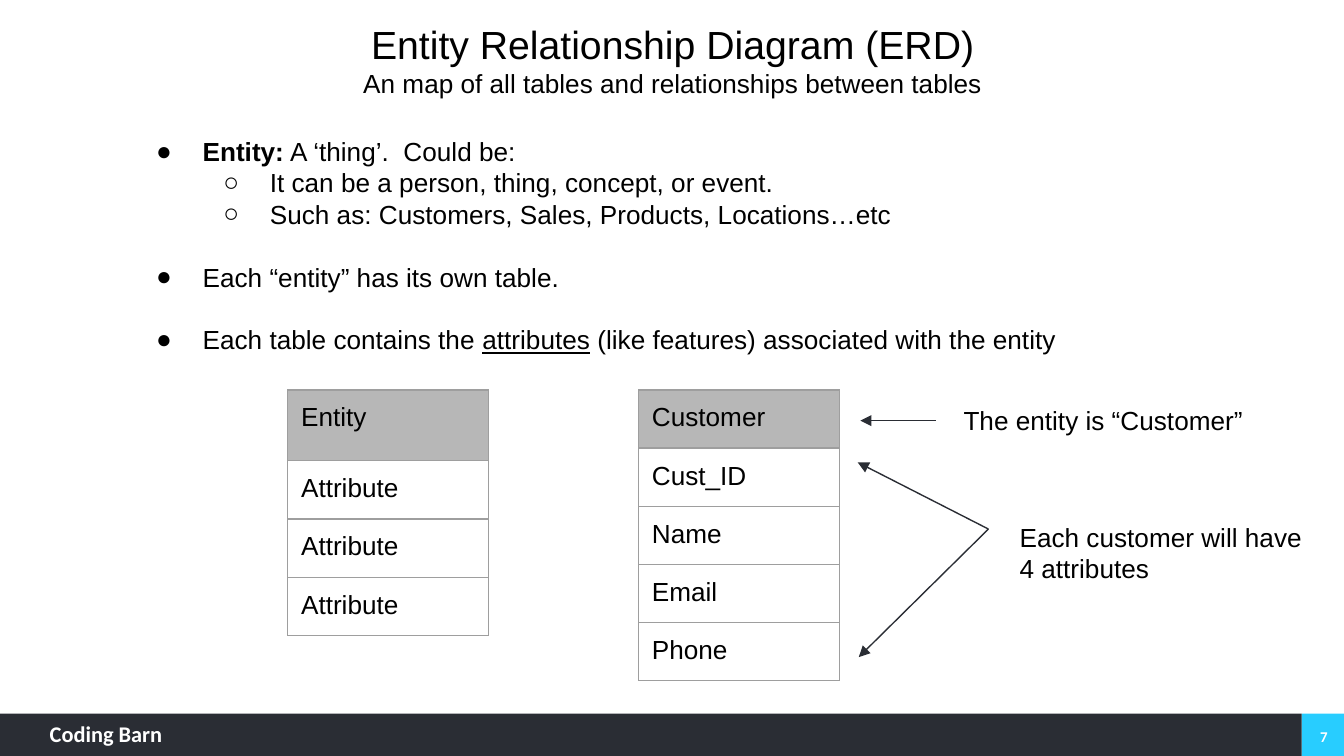
"""Build a slide that explains entity relationship diagrams with two example tables."""
from lxml.etree import SubElement
from pptx import Presentation
from pptx.dml.color import RGBColor
from pptx.enum.shapes import MSO_CONNECTOR, MSO_SHAPE
from pptx.enum.text import MSO_ANCHOR, MSO_AUTO_SIZE, PP_ALIGN
from pptx.oxml.ns import qn
from pptx.util import Cm, Pt

BLACK = RGBColor(0x00, 0x00, 0x00)
WHITE = RGBColor(0xFF, 0xFF, 0xFF)
DARK = RGBColor(0x2A, 0x2D, 0x34)
CYAN = RGBColor(0x28, 0xCD, 0xFF)
HEADER_GRAY = RGBColor(0xB7, 0xB7, 0xB7)
BORDER_GRAY = RGBColor(0x9E, 0x9E, 0x9E)

BODY_FONT = {"name": "Arial", "size": Pt(14), "bold": False}
TITLE_FONT = {**BODY_FONT, "size": Pt(21)}
BRAND_FONT = {"name": "Calibri", "size": Pt(12), "bold": True}
NUMBER_FONT = {**BRAND_FONT, "size": Pt(8)}


def write(para, text, formats, color=BLACK):
    span = para.add_run()
    span.text = text
    for name, value in formats.items():
        setattr(span.font, name, value)
    span.font.color.rgb = color


def set_frame(box, left, top, width, height, margin=0.25, anchor=MSO_ANCHOR.TOP):
    box.left, box.top, box.width, box.height = Cm(left), Cm(top), Cm(width), Cm(height)
    frame = box.text_frame
    settings = {"word_wrap": True, "auto_size": MSO_AUTO_SIZE.NONE, "vertical_anchor": anchor}
    for side in ("left", "top", "right", "bottom"):
        settings[f"margin_{side}"] = Cm(margin)
    for name, value in settings.items():
        setattr(frame, name, value)
    return frame


deck = Presentation()
deck.slide_width, deck.slide_height = Cm(25.4), Cm(14.29)
page = deck.slides.add_slide(deck.slide_layouts[1])
title, body = page.placeholders

for left, width, color in ((24.6, 0.8, CYAN), (0, 24.6, DARK)):
    bar = page.shapes.add_shape(MSO_SHAPE.RECTANGLE, Cm(left), Cm(13.49), Cm(width), Cm(0.8))
    bar.shadow.inherit = False
    bar.fill.solid()
    bar.fill.fore_color.rgb = color
    bar.line.fill.background()

brand = set_frame(page.shapes.add_textbox(0, 0, 0, 0), 0.94, 13.61, 4, 0.58, margin=0)
write(brand.paragraphs[0], "Coding Barn", BRAND_FONT, WHITE)
number = set_frame(page.shapes.add_textbox(0, 0, 0, 0), 24.64, 13.54, 0.76, 0.76, 0.1, MSO_ANCHOR.MIDDLE)
number.paragraphs[0].alignment = PP_ALIGN.CENTER
write(number.paragraphs[0], "7", NUMBER_FONT, WHITE)

heading = set_frame(title, 2.54, 0.13, 20.35, 2)
heading.add_paragraph()
heading_lines = (
    ("Entity Relationship Diagram (ERD)", TITLE_FONT),
    ("An map of all tables and relationships between tables", BODY_FONT),
)
for para, (text, formats) in zip(heading.paragraphs, heading_lines):
    para.alignment = PP_ALIGN.CENTER
    write(para, text, formats)

points = (
    (0, 0, (("Entity:", {"bold": True}), (" A ‘thing’.  Could be:", {}))),
    (1, 0, (("It can be a person, thing, concept, or event.", {}),)),
    (1, 0, (("Such as: Customers, Sales, Products, Locations…etc", {}),)),
    (0, 16.8, (("Each “entity” has its own table.", {}),)),
    (0, 16.8, (
        ("Each table contains the ", {}),
        ("attributes", {"underline": True}),
        (" (like features) associated with the entity", {}),
    )),
)
points_frame = set_frame(body, 2.31, 2.31, 18.08, 4.7)
for index, (level, gap, spans) in enumerate(points):
    para = points_frame.add_paragraph() if index else points_frame.paragraphs[0]
    para.level = level
    para.space_before = Pt(gap)
    properties = para._p.get_or_add_pPr()
    properties.set("marL", str(Cm(1.27 * (level + 1))))
    properties.set("indent", str(Cm(-0.88)))
    SubElement(properties, qn("a:buFont"), typeface="Arial")
    SubElement(properties, qn("a:buChar"), char="●○"[level])
    for text, extra in spans:
        write(para, text, {**BODY_FONT, **extra})

tables = (
    (5.44, 1.34, ("Entity", "Attribute", "Attribute", "Attribute")),
    (12.07, 1.1, ("Customer", "Cust_ID", "Name", "Email", "Phone")),
)
for left, header_height, labels in tables:
    frame = page.shapes.add_table(len(labels), 1, Cm(left), Cm(7.37), Cm(3.79), Cm(1.1 * len(labels)))
    table = frame.table
    table.first_row = table.horz_banding = False
    for index, label in enumerate(labels):
        table.rows[index].height = Cm(1.1 if index else header_height)
        cell = table.cell(index, 0)
        cell.margin_left = cell.margin_right = cell.margin_top = cell.margin_bottom = Cm(0.25)
        write(cell.text_frame.paragraphs[0], label, BODY_FONT)
        properties = cell._tc.get_or_add_tcPr()
        for side in ("lnL", "lnR", "lnT", "lnB"):
            border = SubElement(properties, qn(f"a:{side}"), w=str(Pt(0.75)))
            paint = SubElement(border, qn("a:solidFill"))
            SubElement(paint, qn("a:srgbClr"), val=str(BORDER_GRAY))
        if index:
            cell.fill.background()
        else:
            cell.fill.solid()
            cell.fill.fore_color.rgb = HEADER_GRAY

arrows = (
    (17.68, 7.95, 16.26, 7.95),
    (18.68, 10, 16.21, 8.74),
    (18.68, 10, 16.23, 12.42),
)
for ends in arrows:
    arrow = page.shapes.add_connector(MSO_CONNECTOR.STRAIGHT, *map(Cm, ends))
    arrow.line.color.rgb = DARK
    arrow.line.width = Pt(0.75)
    SubElement(arrow.line._get_or_add_ln(), qn("a:tailEnd"), type="triangle")
    SubElement(arrow._element.spPr, qn("a:effectLst"))

notes = (
    (17.96, 7.39, 6.35, 1.12, "The entity is “Customer”"),
    (19.02, 9.6, 5.94, 1.7, "Each customer will have 4 attributes"),
)
for left, top, width, height, text in notes:
    note = set_frame(page.shapes.add_textbox(0, 0, 0, 0), left, top, width, height)
    write(note.paragraphs[0], text, BODY_FONT)

deck.save("out.pptx")
